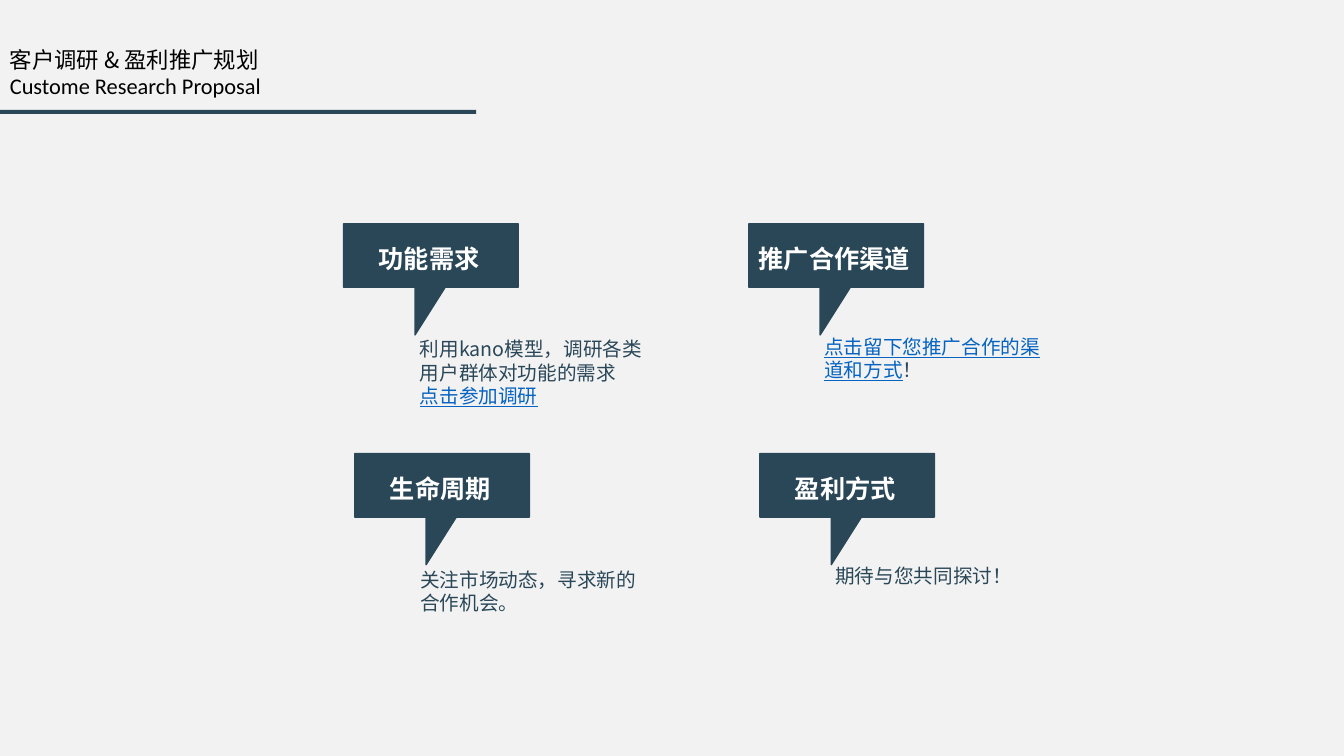
"""Build the customer research slide with four labelled callouts."""
from lxml.etree import SubElement
from pptx import Presentation
from pptx.dml.color import RGBColor
from pptx.enum.shapes import MSO_SHAPE as Shape
from pptx.enum.text import MSO_ANCHOR as Anchor, MSO_AUTO_SIZE as Fit, PP_ALIGN as Align
from pptx.oxml.ns import qn
from pptx.util import Cm, Pt

NAVY = RGBColor(0x2A, 0x47, 0x58)
BLUE = RGBColor(0x05, 0x63, 0xC1)
WHITE = RGBColor(0xFF, 0xFF, 0xFF)
BLACK = RGBColor(0, 0, 0)
PALE = RGBColor(0xF2, 0xF2, 0xF2)
HAN = "Noto Sans CJK SC"
LATIN = "Calibri"
LEFT, TOP = 8.66, 5.64
COL_STEP, ROW_STEP, ROW_SHIFT = 10.21, 5.79, 0.28
OUTLINE = [(4.4, 0), (4.4, 1.6), (2.56, 1.6), (1.8, 2.8), (1.8, 1.6), (0, 1.6)]
CARDS = [
    (0, 0, "功能需求", 1.67, 2.85,
     [[("利用kano模型，调研各类用户群体对功能的需求", NAVY)], [("点击参加调研", BLUE)]]),
    (0, 1, "生命周期", 1.4, 2.87, [[("关注市场动态，寻求新的合作机会。", NAVY)]]),
    (1, 0, "推广合作渠道", 1.65, 2.79,
     [[("点击留下您推广合作的渠道和方式", BLUE), ("！", NAVY)]]),
    (1, 1, "盈利方式", 1.65, 2.79, [[("期待与您共同探讨！", NAVY)]]),
]


def style(para, size, color, face=HAN, bold=False, align=Align.LEFT):
    """Set the font and alignment of a paragraph."""
    font = para.font
    font.size, font.bold, font.name = Pt(size), bold, face
    font.color.rgb = color
    SubElement(para._p.pPr.find(qn("a:defRPr")), qn("a:ea")).set("typeface", face)
    para.alignment = align


def frame(shape, pad):
    """Prepare a text frame with the given top and bottom inset."""
    text = shape.text_frame
    text.word_wrap, text.auto_size = True, Fit.NONE
    text.vertical_anchor = Anchor.TOP
    text.margin_left = text.margin_right = Cm(0.25)
    text.margin_top = text.margin_bottom = Cm(pad)
    return text


def add_box(slide, left, top, width, height, pad=0):
    """Add a text box and return its frame."""
    box = slide.shapes.add_textbox(Cm(left), Cm(top), Cm(width), Cm(height))
    return frame(box, pad)


def paint(shape):
    """Give a shape the navy fill without a shadow."""
    shape.shadow.inherit = False
    shape.fill.solid()
    shape.fill.fore_color.rgb = NAVY


def add_head(slide):
    """Place the title, its English line and the two-part rule."""
    title = slide.shapes.title
    title.left, title.top, title.width, title.height = Cm(0), Cm(1.02), Cm(9.73), Cm(0.94)
    para = frame(title, 0.13).paragraphs[0]
    para.text = "客户调研 & 盈利推广规划"
    style(para, 16, BLACK)
    para = add_box(slide, 0, 1.68, 11, 0.94, 0.13).paragraphs[0]
    para.text = "Custome Research Proposal"
    style(para, 16, BLACK, LATIN)
    for part in range(2):
        rule = slide.shapes.add_shape(
            Shape.RECTANGLE, Cm(6 * part), Cm(2.77), Cm(6), Cm(0.1))
        paint(rule)
        rule.line.fill.background()


def add_call(slide, left, top, label):
    """Draw a callout with its centred label."""
    pen = slide.shapes.build_freeform(Cm(left), Cm(top))
    pen.add_line_segments([(Cm(left + x), Cm(top + y)) for x, y in OUTLINE])
    shape = pen.convert_to_shape()
    paint(shape)
    shape.line.color.rgb = NAVY
    shape.line.width = Pt(1)
    para = add_box(slide, left - 0.08, top + 0.5, 4.47, 0.71).paragraphs[0]
    para.text = label
    style(para, 18, WHITE, bold=True, align=Align.CENTER)


def add_note(slide, left, top, lines):
    """Write a note, underlining the blue parts."""
    text = add_box(slide, left, top, 6.35, 2.08)
    for row, parts in enumerate(lines):
        para = text.add_paragraph() if row else text.paragraphs[0]
        style(para, 14, NAVY)
        for words, color in parts:
            run = para.add_run()
            run.text = words
            if color != NAVY:
                run.font.color.rgb = color
                run.font.underline = True


def main():
    """Build and save the slide."""
    deck = Presentation()
    deck.slide_width, deck.slide_height = Cm(33.87), Cm(19.05)
    slide = deck.slides.add_slide(deck.slide_layouts[5])
    slide.background.fill.solid()
    slide.background.fill.fore_color.rgb = PALE
    add_head(slide)
    for col, row, label, right, down, lines in CARDS:
        left = LEFT + col * COL_STEP + row * ROW_SHIFT
        top = TOP + row * ROW_STEP
        add_call(slide, left, top, label)
        add_note(slide, left + right, top + down, lines)
    deck.save("out.pptx")


if __name__ == "__main__":
    main()
